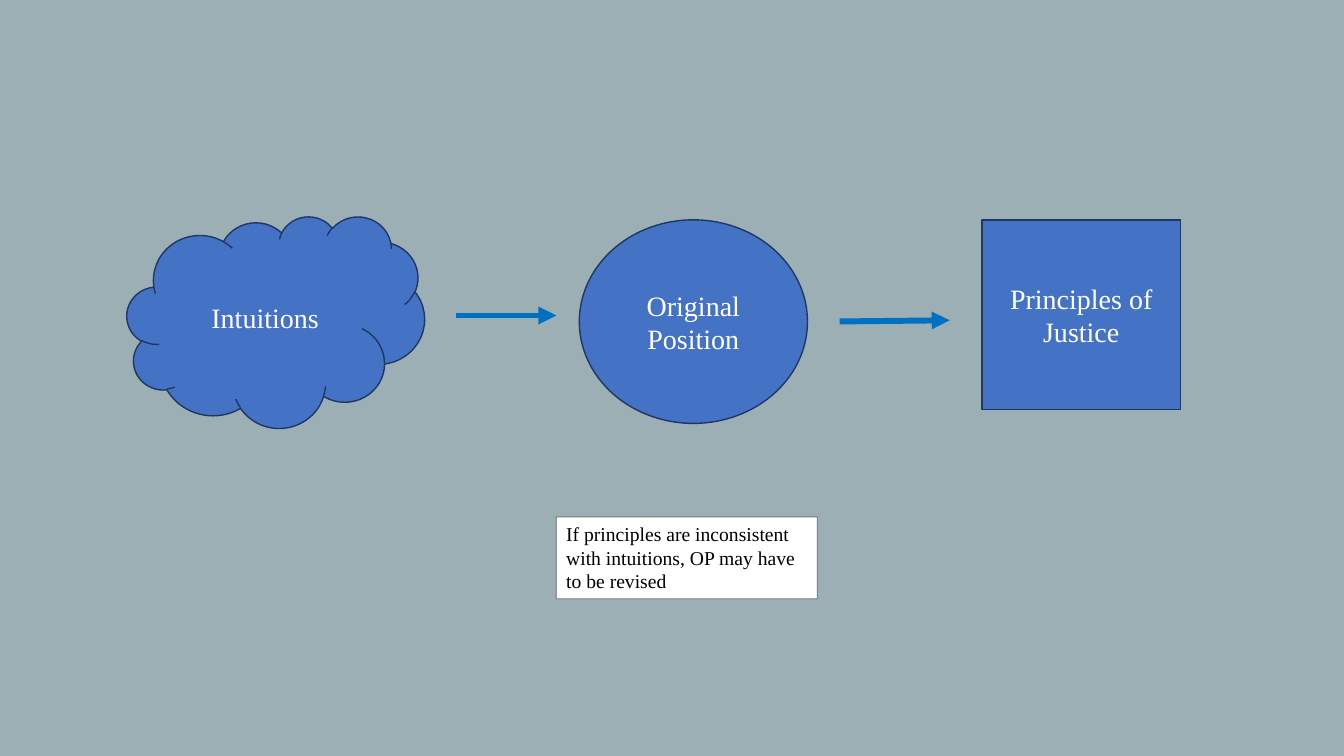
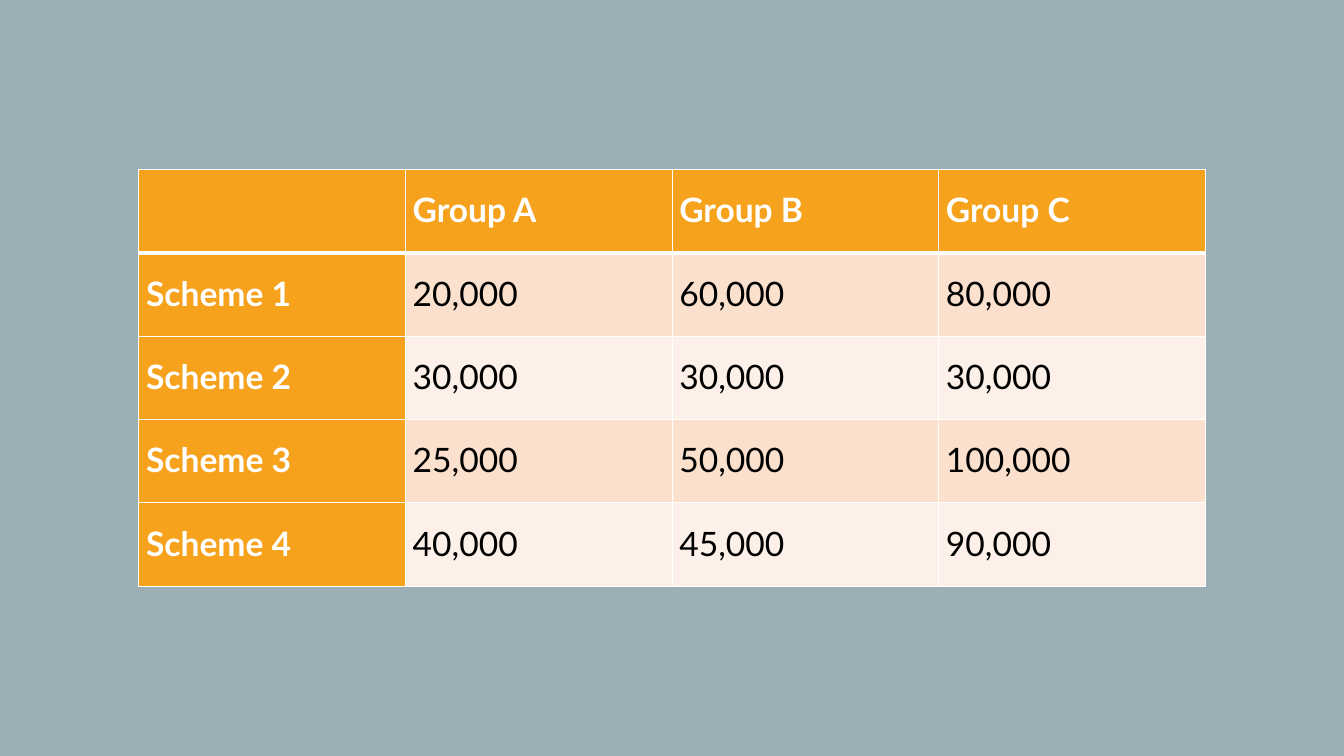
"""Builds two slides: the path from intuitions to principles, and a table of schemes."""
from lxml import etree
from pptx import Presentation
from pptx.dml.color import RGBColor
from pptx.enum.shapes import MSO_CONNECTOR, MSO_SHAPE
from pptx.enum.text import MSO_ANCHOR, PP_ALIGN
from pptx.oxml.ns import qn
from pptx.util import Cm, Pt

CLOUD, OVAL, RECT = MSO_SHAPE.CLOUD, MSO_SHAPE.OVAL, MSO_SHAPE.RECTANGLE
STRAIGHT = MSO_CONNECTOR.STRAIGHT
TOP, MIDDLE = MSO_ANCHOR.TOP, MSO_ANCHOR.MIDDLE
LEFT, CENTER, JUSTIFY = PP_ALIGN.LEFT, PP_ALIGN.CENTER, PP_ALIGN.JUSTIFY
BLANK = 6

BACK, WHITE, BLACK = "9BAFB5", "FFFFFF", "000000"
BLUE, NAVY, ARROW = "4472C4", "1F3763", "0070C0"
ORANGE, BANDS = "F6A21D", ("FBE0CD", "FDF0E8")
SERIF, SANS = "Times New Roman", "Lato"

SCHEMES = [
    ("", "Group A", "Group B", "Group C"),
    ("Scheme 1", "20,000", "60,000", "80,000"),
    ("Scheme 2", "30,000", "30,000", "30,000"),
    ("Scheme 3", "25,000", "50,000", "100,000"),
    ("Scheme 4", "40,000", "45,000", "90,000"),
]


def paint(fmt, color):
    fmt.solid()
    fmt.fore_color.rgb = RGBColor.from_string(color)


def write(frame, text, font, size, color, align, bold=False):
    frame.text = text
    para = frame.paragraphs[0]
    para.alignment = align
    para.font.name = font
    para.font.size = Pt(size)
    para.font.bold = bold
    para.font.color.rgb = RGBColor.from_string(color)
    return para


def add_box(slide, kind, place, fill, line, width):
    box = slide.shapes.add_shape(kind, *map(Cm, place))
    box.shadow.inherit = False
    paint(box.fill, fill)
    paint(box.line.fill, line)
    box.line.width = Pt(width)
    box.text_frame.word_wrap = True
    return box


def add_stage(slide, kind, place, text):
    box = add_box(slide, kind, place, BLUE, NAVY, 1)
    box.text_frame.vertical_anchor = MIDDLE
    write(box.text_frame, text, SERIF, 20, WHITE, CENTER)


def add_note(slide, place, text):
    box = add_box(slide, RECT, place, WHITE, BLACK, 0.5)
    color = box._element.spPr.find(qn("a:ln")).find(".//" + qn("a:srgbClr"))
    etree.SubElement(color, qn("a:alpha"), val="53000")
    box.text_frame.vertical_anchor = TOP
    write(box.text_frame, text, SERIF, 14, BLACK, LEFT)


def add_arrow(slide, ends):
    arrow = slide.shapes.add_connector(STRAIGHT, *map(Cm, ends))
    paint(arrow.line.fill, ARROW)
    arrow.line.width = Pt(4.25)
    props = arrow._element.spPr
    etree.SubElement(props.find(qn("a:ln")), qn("a:tailEnd"), type="triangle")
    etree.SubElement(props, qn("a:effectLst"))


def add_edges(cell, row):
    props = cell._tc.get_or_add_tcPr()
    widths = {"L": 1, "R": 1, "T": 3 if row == 1 else 1, "B": 3 if row == 0 else 1}
    for side, width in widths.items():
        line = etree.SubElement(props, qn("a:ln" + side), w=str(Pt(width)))
        fill = etree.SubElement(line, qn("a:solidFill"))
        etree.SubElement(fill, qn("a:srgbClr"), val=WHITE)


def fill_cell(cell, row, col, text):
    head = row == 0 or col == 0
    add_edges(cell, row)
    paint(cell.fill, ORANGE if head else BANDS[(row - 1) % 2])
    cell.margin_left = cell.margin_right = Cm(0.18)
    cell.margin_top = cell.margin_bottom = 0
    cell.vertical_anchor = TOP
    if text:
        para = write(cell.text_frame, text, SANS, 24,
                     WHITE if head else BLACK, JUSTIFY, head)
        para.line_spacing = 1.5


def add_grid(slide, place, rows):
    frame = slide.shapes.add_table(len(rows), len(rows[0]), *map(Cm, place))
    for r, row in enumerate(rows):
        for c, text in enumerate(row):
            fill_cell(frame.table.cell(r, c), r, c, text)


def draw_path(slide):
    add_stage(slide, CLOUD, (3.2, 5.45, 7.5, 5.33), "Intuitions")
    add_stage(slide, RECT, (24.75, 5.54, 5, 4.78), "Principles of Justice")
    add_stage(slide, OVAL, (14.6, 5.54, 5.75, 5.13), "Original Position")
    add_arrow(slide, (11.5, 7.95, 14.02, 7.95))
    add_arrow(slide, (21.16, 8.1, 23.93, 8.07))
    add_note(slide, (14.02, 13.03, 6.58, 2.06),
             "If principles are inconsistent with intuitions, OP may have to be revised")


def main():
    deck = Presentation()
    deck.slide_width, deck.slide_height = Cm(33.87), Cm(19.05)
    paint(deck.slide_master.background.fill, BACK)
    layout = deck.slide_layouts[BLANK]
    draw_path(deck.slides.add_slide(layout))
    add_grid(deck.slides.add_slide(layout), (3.5, 4.27, 26.88, 10.5), SCHEMES)
    deck.save("out.pptx")


main()
